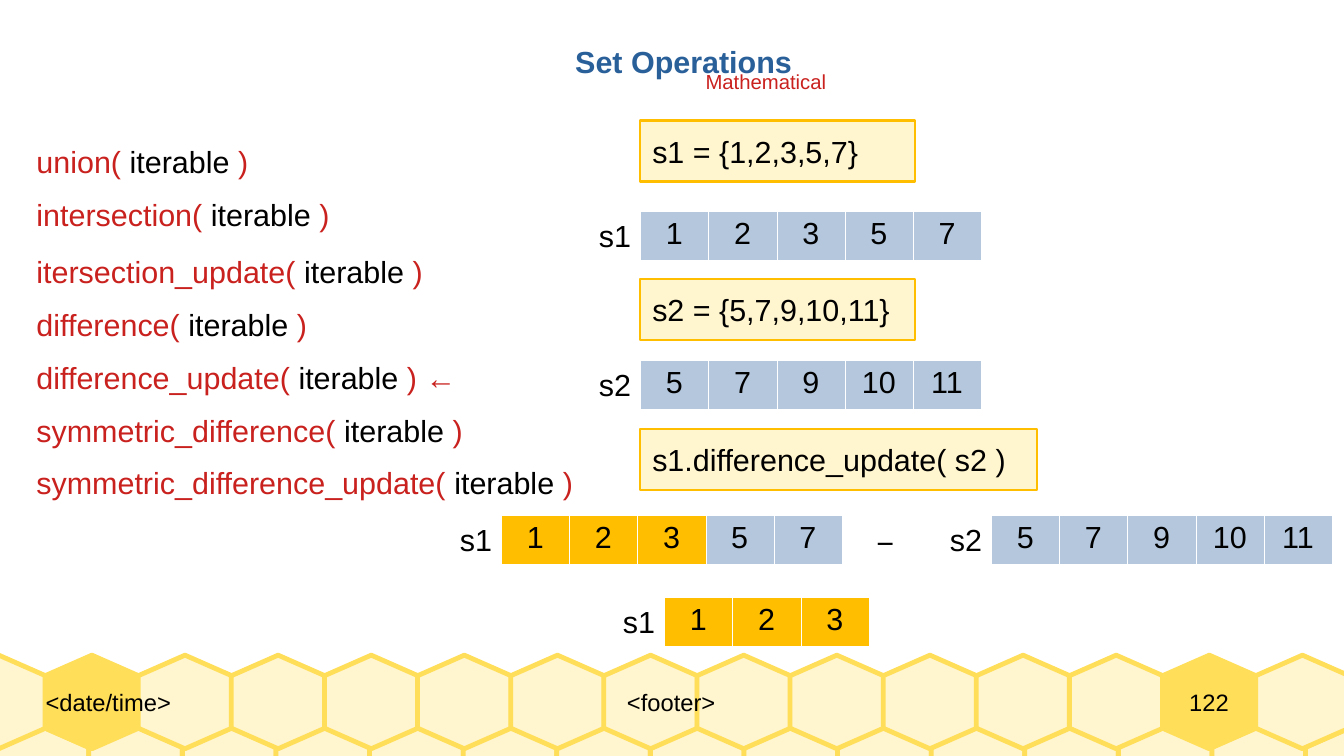
from dataclasses import dataclass

from lxml.etree import SubElement
from pptx import Presentation
from pptx.dml.color import RGBColor
from pptx.enum.shapes import MSO_SHAPE as SHAPE
from pptx.enum.text import MSO_ANCHOR as ANCHOR, MSO_AUTO_SIZE as AUTO, PP_ALIGN as ALIGN
from pptx.oxml.ns import qn
from pptx.util import Cm, Pt


@dataclass(frozen=True)
class Theme:
    """Colours, font and type sizes of the slide."""
    font: str = "Arial"
    black: str = "000000"
    white: str = "FFFFFF"
    blue: str = "2A6099"
    red: str = "C9211E"
    cream: str = "FFF5CE"
    honey: str = "FFDE59"
    amber: str = "FFBF00"
    steel: str = "B4C7DC"
    body: int = 18
    footer: int = 14
    note: int = 12


T = Theme()
LINE_H = 0.97
CELL_W = 1.42
HEX = 1.95


def rgb(color):
    """Turn a hex string into a colour."""
    return RGBColor.from_string(color)


def add_run(p, text, color=T.black, size=T.body, bold=False):
    """Add one formatted run to a paragraph."""
    r = p.add_run()
    r.text = text
    r.font.name, r.font.size, r.font.bold = T.font, Pt(size), bold
    r.font.color.rgb = rgb(color)


def paint(sp, fill, line, width):
    """Set fill and outline and drop the shadow."""
    sp.shadow.inherit = False
    sp.fill.solid()
    sp.fill.fore_color.rgb = rgb(fill)
    sp.line.color.rgb = rgb(line)
    sp.line.width = Pt(width)


def add_label(s, x, y, w, runs, size=T.body):
    """Add a one-line text box made of (text, colour) runs."""
    tf = s.shapes.add_textbox(Cm(x), Cm(y), Cm(w), Cm(LINE_H)).text_frame
    tf.word_wrap = False
    tf.auto_size = AUTO.SHAPE_TO_FIT_TEXT
    for text, color in runs:
        add_run(tf.paragraphs[0], text, color, size)


def add_title(s, text):
    """Place and format the title placeholder."""
    sp = s.shapes.title
    sp.left, sp.top, sp.width, sp.height = Cm(11.73), Cm(0.76), Cm(5.38), Cm(LINE_H)
    tf = sp.text_frame
    tf.word_wrap = False
    tf.auto_size = AUTO.SHAPE_TO_FIT_TEXT
    tf.vertical_anchor = ANCHOR.TOP
    tf.paragraphs[0].alignment = ALIGN.LEFT
    add_run(tf.paragraphs[0], text, T.blue, bold=True)


def add_method(s, y, w, name, end=")"):
    """Add a method signature to the left-hand list."""
    add_label(s, 0.51, y, w, [(f"{name}(", T.red), (" iterable ", T.black), (end, T.red)])


def add_code(s, y, w, code):
    """Add a framed line of code."""
    sp = s.shapes.add_shape(SHAPE.RECTANGLE, Cm(13.34), Cm(y), Cm(w), Cm(1.27))
    paint(sp, T.cream, T.amber, 1.42)
    tf = sp.text_frame
    tf.word_wrap = True
    tf.vertical_anchor = ANCHOR.MIDDLE
    tf.paragraphs[0].alignment = ALIGN.LEFT
    add_run(tf.paragraphs[0], code)


def add_borders(cell):
    """Give a table cell thin white borders."""
    tc_pr = cell._tc.get_or_add_tcPr()
    for side in ("lnL", "lnR", "lnT", "lnB"):
        ln = SubElement(tc_pr, qn(f"a:{side}"), w=str(Pt(0.06)))
        fill = SubElement(ln, qn("a:solidFill"))
        SubElement(fill, qn("a:srgbClr"), val=T.white)


def add_set(s, x, y, name, values, kept=0):
    """Add a named row of set members, the first kept ones highlighted."""
    n = len(values)
    table = s.shapes.add_table(1, n, Cm(x), Cm(y), Cm(n * CELL_W), Cm(LINE_H)).table
    table.first_row = table.horz_banding = False
    for i, value in enumerate(values):
        table.columns[i].width = Cm(CELL_W)
        cell = table.cell(0, i)
        add_borders(cell)
        cell.fill.solid()
        cell.fill.fore_color.rgb = rgb(T.amber if i < kept else T.steel)
        p = cell.text_frame.paragraphs[0]
        p.alignment = ALIGN.CENTER
        add_run(p, str(value))
    add_label(s, x - 1.11, y, 1.27, [(name, T.black)])


def add_hexagon(s, x, y, fill):
    """Add one honeycomb cell."""
    corners = [(0.5, 0), (0, 0.22), (0, 0.78), (0.5, 1), (1, 0.78), (1, 0.22)]
    points = [(Cm(x + HEX * u), Cm(y + HEX * v)) for u, v in corners]
    builder = s.shapes.build_freeform(*points[0], scale=1.0)
    builder.add_line_segments(points[1:], close=True)
    paint(builder.convert_to_shape(), fill, T.honey, 2.83)


def add_honeycomb(s):
    """Add the two rows of hexagons along the bottom edge."""
    for x, y, pitch, solid in ((-0.1, 15.14, 1.95, ()), (-1, 13.65, 1.94, (1, 13))):
        for i in range(15):
            add_hexagon(s, x + i * pitch, y, T.honey if i in solid else T.cream)


def add_footer(s, x, w, text, align):
    """Add a footer field over the honeycomb."""
    tf = s.shapes.add_textbox(Cm(x), Cm(13.65), Cm(w), Cm(HEX)).text_frame
    tf.margin_left = tf.margin_right = tf.margin_top = tf.margin_bottom = 0
    tf.word_wrap = True
    tf.vertical_anchor = ANCHOR.MIDDLE
    tf.paragraphs[0].alignment = align
    add_run(tf.paragraphs[0], text, size=T.footer)


def main():
    """Build the slide and save it."""
    prs = Presentation()
    prs.slide_width, prs.slide_height = Cm(28), Cm(15.75)
    s = prs.slides.add_slide(prs.slide_layouts[5])

    add_honeycomb(s)
    add_footer(s, 0.95, 6.68, "<date/time>", ALIGN.LEFT)
    add_footer(s, 7.62, 12.73, "<footer>", ALIGN.CENTER)
    add_footer(s, 23.6, 3.18, "122", ALIGN.CENTER)

    add_title(s, "Set Operations")
    add_label(s, 14.45, 1.32, 3.02, [("Mathematical", T.red)], T.note)

    pair = [("union", 5.1), ("intersection", 6.8)]
    rest = [("itersection_update", 8.7), ("difference", 6.5),
            ("difference_update", 9.6, ") ←"), ("symmetric_difference", 9.6),
            ("symmetric_difference_update", 11.9)]
    for top, methods in ((2.85, pair), (5.15, rest)):
        for i, (name, w, *end) in enumerate(methods):
            add_method(s, top + i * 1.1, w, name, *end)

    s1, s2 = [1, 2, 3, 5, 7], [5, 7, 9, 10, 11]
    add_code(s, 2.51, 5.72, "s1 = {1,2,3,5,7}")
    add_set(s, 13.34, 4.4, "s1", s1)
    add_code(s, 5.81, 5.72, "s2 = {5,7,9,10,11}")
    add_set(s, 13.34, 7.5, "s2", s2)
    add_code(s, 8.94, 8.26, "s1.difference_update( s2 )")
    add_set(s, 10.44, 10.73, "s1", s1, kept=3)
    add_label(s, 18.01, 10.79, 0.86, [("−", T.black)])
    add_set(s, 20.65, 10.73, "s2", s2)
    add_set(s, 13.84, 12.44, "s1", s1[:3], kept=3)

    prs.save("out.pptx")


if __name__ == "__main__":
    main()
